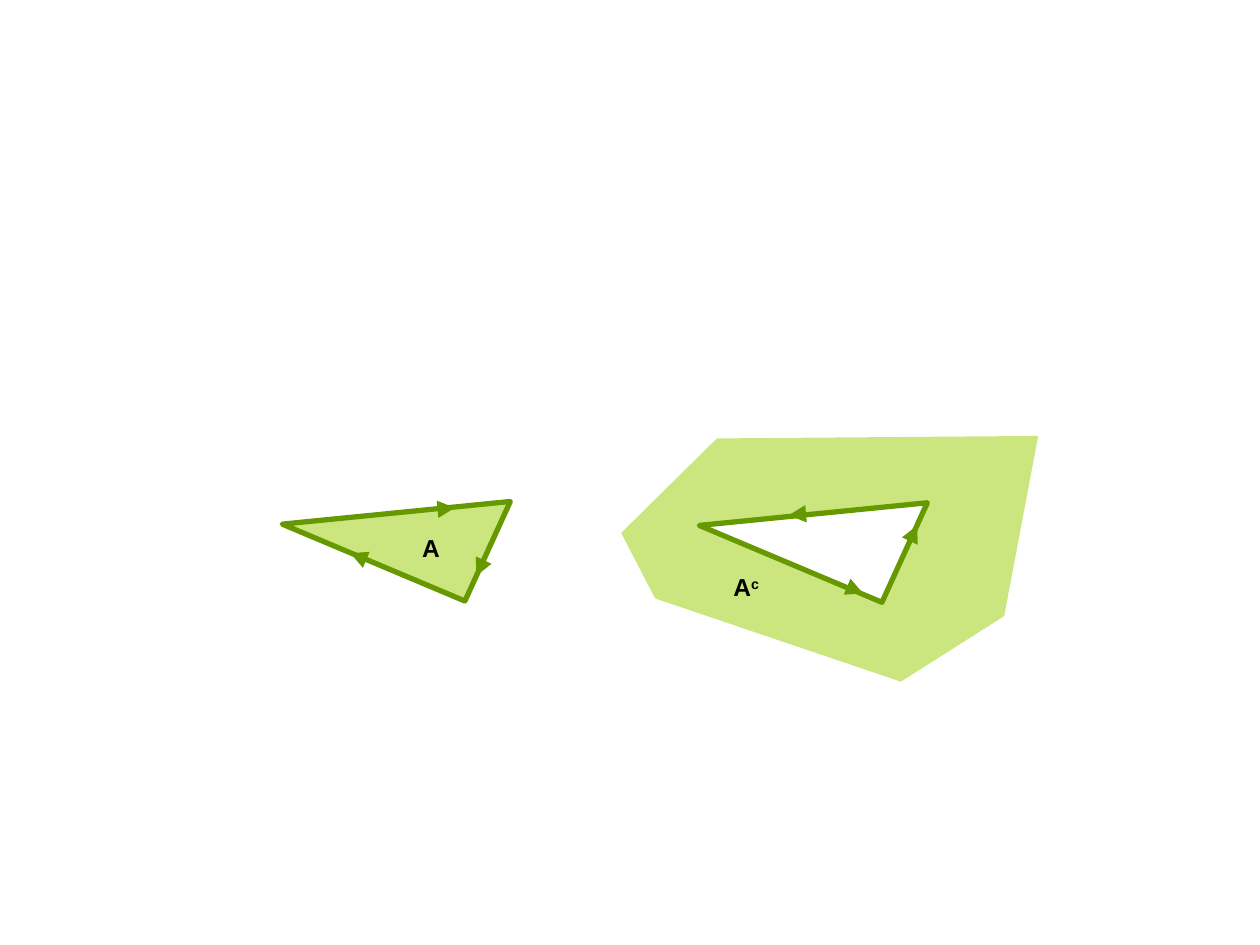
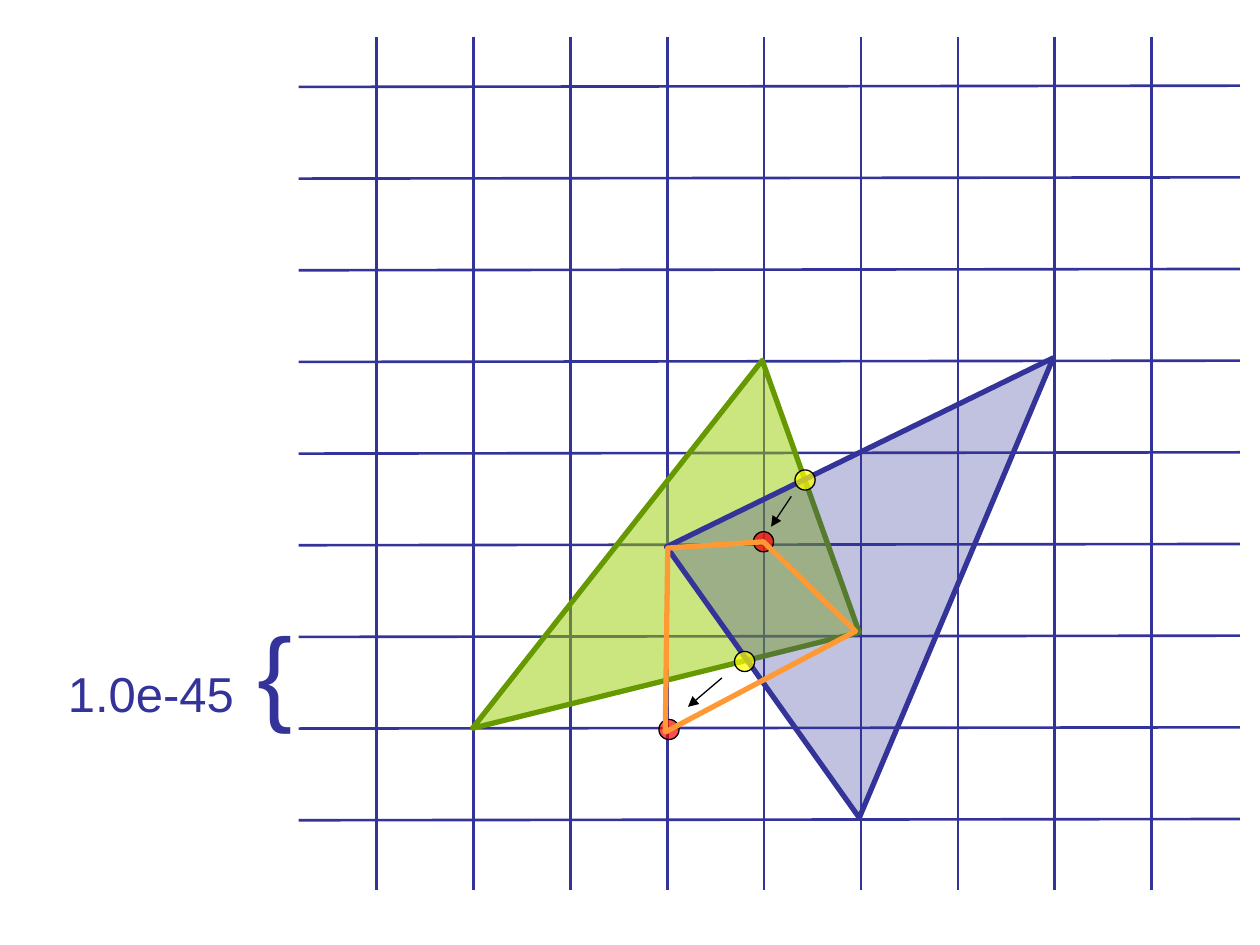
from lxml.etree import SubElement
from pptx import Presentation
from pptx.dml.color import RGBColor
from pptx.enum.shapes import MSO_CONNECTOR, MSO_SHAPE
from pptx.enum.text import MSO_ANCHOR, MSO_AUTO_SIZE, PP_ALIGN
from pptx.oxml.ns import qn
from pptx.util import Inches, Pt

COLORS = {
    "lime": "99CC00",
    "green": "669900",
    "indigo": "333399",
    "yellow": "FFFF00",
    "red": "FF0000",
    "orange": "FF9933",
    "black": "000000",
    "white": "FFFFFF",
}
FONT = "Arial"
OUTLINE = 3
THIN = 0.74


def rgb(name):
    return RGBColor.from_string(COLORS[name])


def set_fill(shape, color, opacity=100):
    if color is None:
        shape.fill.background()
        return
    shape.fill.solid()
    shape.fill.fore_color.rgb = rgb(color)
    if opacity < 100:
        color_element = shape.fill._xPr.find(qn("a:solidFill"))[0]
        SubElement(color_element, qn("a:alpha"), val=str(opacity * 1000))


def set_line(shape, color, width):
    if color is None:
        shape.line.fill.background()
        return
    shape.line.color.rgb = rgb(color)
    shape.line.width = Pt(width)
    SubElement(shape.line._get_or_add_ln(), qn("a:round"))


def add_polygon(slide, points, fill=None, opacity=100, line=None):
    corners = [(Inches(x), Inches(y)) for x, y in points]
    builder = slide.shapes.build_freeform(*corners[0])
    builder.add_line_segments(corners[1:], close=True)
    shape = builder.convert_to_shape()
    shape.shadow.inherit = False
    set_fill(shape, fill, opacity)
    set_line(shape, line, OUTLINE)


def add_segment(slide, start, end, color, width, arrow_size=None):
    connector = slide.shapes.add_connector(
        MSO_CONNECTOR.STRAIGHT, *(Inches(value) for value in (*start, *end)))
    set_line(connector, color, width)
    if arrow_size:
        SubElement(connector.line._get_or_add_ln(), qn("a:tailEnd"),
                   type="triangle", w=arrow_size, len=arrow_size)
    SubElement(connector._element.spPr, qn("a:effectLst"))


def add_dot(slide, left, top, color):
    size = Inches(0.16)
    shape = slide.shapes.add_shape(
        MSO_SHAPE.OVAL, Inches(left), Inches(top), size, size)
    shape.shadow.inherit = False
    set_fill(shape, color, 70)
    set_line(shape, "black", THIN)


def add_label(slide, box, runs, color, margins=(0, 0), bold=False):
    """Each run is (text, size, baseline shift in percent)."""
    frame = slide.shapes.add_textbox(*(Inches(v) for v in box)).text_frame
    frame.word_wrap = False
    frame.auto_size = MSO_AUTO_SIZE.SHAPE_TO_FIT_TEXT
    frame.vertical_anchor = MSO_ANCHOR.TOP
    frame.margin_left = frame.margin_right = Inches(margins[0])
    frame.margin_top = frame.margin_bottom = Inches(margins[1])
    paragraph = frame.paragraphs[0]
    paragraph.alignment = PP_ALIGN.LEFT
    for text, size, baseline in runs:
        run = paragraph.add_run()
        run.text = text
        run.font.name = FONT
        run.font.size = Pt(size)
        run.font.bold = bold
        run.font.color.rgb = rgb(color)
        if baseline:
            run._r.get_or_add_rPr().set("baseline", str(baseline * 1000))


def add_blank_slide(presentation):
    slide = presentation.slides.add_slide(presentation.slide_layouts[6])
    slide.background.fill.solid()
    slide.background.fill.fore_color.rgb = rgb("white")
    return slide


def build_complement_slide(presentation):
    slide = add_blank_slide(presentation)
    triangle = [(4.05, 3.98), (3.69, 4.77), (2.24, 4.16)]
    directions = [((2.95, 4.09), (3.61, 4.03)),
                  ((3.54, 4.71), (2.78, 4.39)),
                  ((3.97, 4.17), (3.78, 4.57))]
    shift = 3.31

    # Surrounding region; the cut to the empty triangle runs both ways
    cut_start, cut_end = (4.93, 4.23), (5.55, 4.16)
    add_polygon(slide, [cut_start, (5.69, 3.48), (8.24, 3.46),
                        (7.97, 4.89), (7.15, 5.41), (5.2, 4.75),
                        cut_start, cut_end, (6.99, 4.77),
                        (7.34, 3.98), cut_end], "lime", 50)

    # Set A, and its complement with the edges reversed
    add_polygon(slide, triangle, "lime", 50, "green")
    add_polygon(slide, [(x + shift, y + 0.01) for x, y in triangle],
                line="green")
    for start, end in directions:
        add_segment(slide, start, end, "green", 0.99, "lg")
        add_segment(slide, (end[0] + shift, end[1]),
                    (start[0] + shift, start[1]), "green", 0.99, "lg")

    add_label(slide, (3.35, 4.23, 0.14, 0.23), [("A", 14, 0)],
              "black", bold=True)
    add_label(slide, (5.82, 4.54, 0.22, 0.23), [("A", 14, 0), ("c", 14, 30)],
              "black", bold=True)


def build_grid_slide(presentation):
    slide = add_blank_slide(presentation)

    # Grid of representable coordinates
    grid_lines = 9
    column_gap = (9.14 - 2.99) / (grid_lines - 1)
    row_gap = (6.5 - 0.68) / (grid_lines - 1)
    for index in range(grid_lines):
        x = 2.99 + index * column_gap
        add_segment(slide, (x, 0.29), (x, 7.06), "indigo", 1.5)
    for index in range(grid_lines):
        y = 0.68 + index * row_gap
        add_segment(slide, (9.84, y), (2.37, y + 0.01), "indigo", 1.5)

    # Overlapping triangles
    add_polygon(slide, [(6.05, 2.86), (6.82, 5.02), (3.75, 5.78)],
                "lime", 50, "green")
    add_polygon(slide, [(8.36, 2.84), (6.82, 6.49), (5.29, 4.34)],
                "indigo", 30, "indigo")

    # Exact crossings (yellow) and the grid points they snap to (red)
    for left, top, color in [(6.31, 3.73, "yellow"), (5.98, 4.22, "red"),
                             (5.83, 5.17, "yellow"), (5.23, 5.71, "red")]:
        add_dot(slide, left, top, color)
    for start, end in [((6.28, 3.94), (6.12, 4.18)),
                       ((5.73, 5.38), (5.46, 5.61))]:
        add_segment(slide, start, end, "black", THIN, "med")

    # Snapped intersection
    add_polygon(slide, [(5.3, 4.35), (6.06, 4.3), (6.79, 5.01),
                        (5.28, 5.81)], line="orange")

    add_label(slide, (0.44, 4.77, 1.98, 1.1),
              [("1.0e-45", 28, 0), (" ", 48, 0), ("{", 60, 0)],
              "indigo", margins=(0.1, 0.05))


def main():
    presentation = Presentation()
    presentation.slide_width = Inches(10)
    presentation.slide_height = Inches(7.5)
    build_complement_slide(presentation)
    build_grid_slide(presentation)
    presentation.save("out.pptx")


main()
